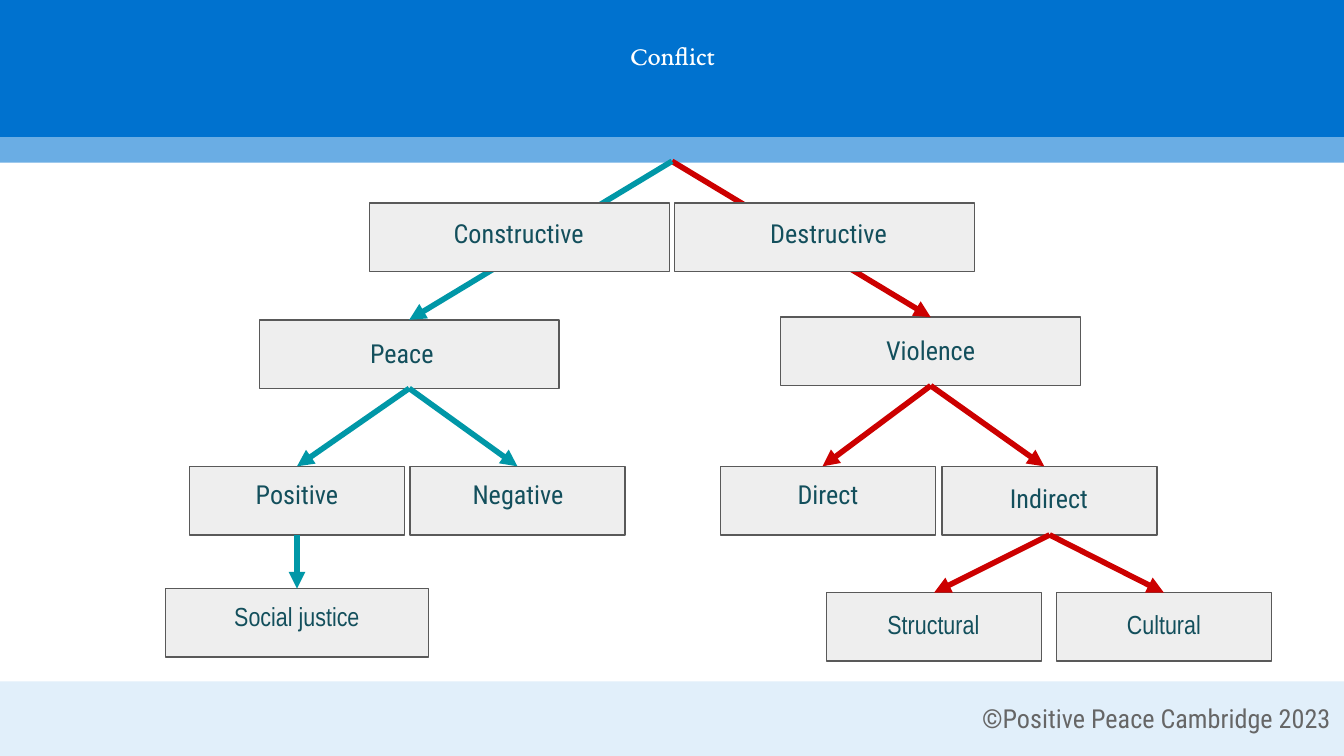
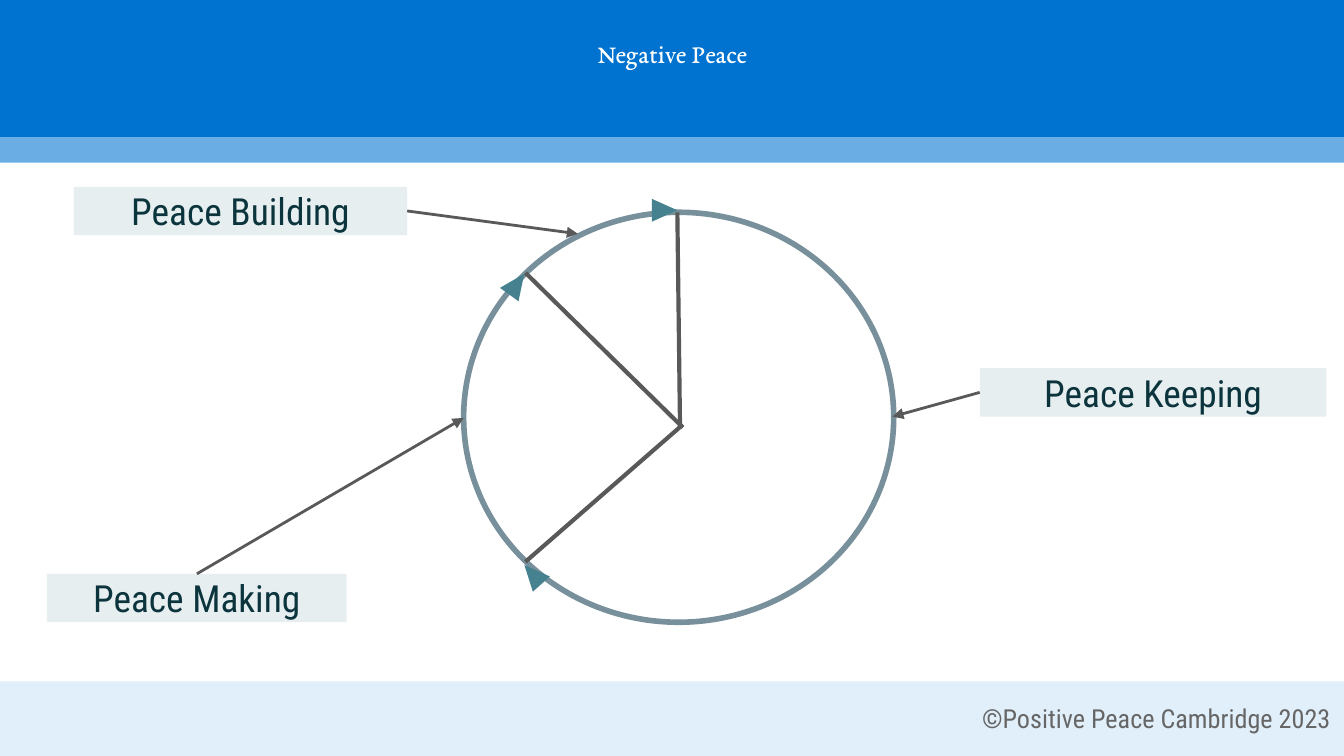
"""Build two slides on conflict and negative peace."""
from lxml.etree import SubElement
from pptx import Presentation
from pptx.dml.color import RGBColor
from pptx.enum.shapes import MSO_CONNECTOR as Connector, MSO_SHAPE as Preset
from pptx.enum.text import MSO_ANCHOR as Anchor, MSO_AUTO_SIZE as AutoSize, PP_ALIGN as Align
from pptx.oxml.ns import qn
from pptx.util import Inches, Pt

COLUMNS, ROWS = 100, 56.25
SLIDE_WIDTH, SLIDE_HEIGHT = Inches(10), Inches(5.625)
TOP, LEFT, BOTTOM, RIGHT = range(4)

COLORS = {
    "header": "0072CF", "stripe": "6AADE4", "footer": "E1EFFA", "footer text": "666666",
    "title": "FFFFFF", "box": "EEEEEE", "outline": "595959", "box text": "134F5C",
    "constructive": "0097A7", "destructive": "CC0000", "cycle": "78909C",
    "marker": "45818E", "callout": "D0E0E3", "callout text": "0C343D",
}
SERIF, SANS, NARROW = "EB Garamond", "Roboto Condensed", "Arial Narrow"


def color(name):
    return RGBColor.from_string(COLORS[name])


def write(shape, text, font=SANS, size=14, ink="box text", align=Align.CENTER,
          anchor=Anchor.TOP, inset=0.05):
    frame = shape.text_frame
    frame.word_wrap = True
    frame.vertical_anchor = anchor
    frame.margin_left = frame.margin_right = Inches(0.1)
    frame.margin_top = frame.margin_bottom = Inches(inset)
    paragraph = frame.paragraphs[0]
    paragraph.text = text
    paragraph.alignment = align
    paragraph.font.name = font
    paragraph.font.size = Pt(size)
    paragraph.font.color.rgb = color(ink)


class Deck:
    def __init__(self):
        self.presentation = Presentation()
        self.presentation.slide_width = SLIDE_WIDTH
        self.presentation.slide_height = SLIDE_HEIGHT
        self.slide = None

    def place(self, *lengths):
        """Turn alternating columns and rows into slide lengths."""
        units = (SLIDE_WIDTH / COLUMNS, SLIDE_HEIGHT / ROWS)
        return [round(length * units[index % 2]) for index, length in enumerate(lengths)]

    def new_slide(self, title, title_area):
        self.slide = self.presentation.slides.add_slide(self.presentation.slide_layouts[6])
        self.shape((0, 50.7, COLUMNS, 5.55), "footer")
        self.shape((-0.3, 0, 100.6, 10.5), "header")
        self.shape((-0.3, 10.2, 100.6, 1.9), "stripe")
        footer = self.text((64.8, 51.3, 35.2, 4.4), "©Positive Peace Cambridge 2023",
                           ink="footer text", align=Align.RIGHT, inset=0.1)
        footer.text_frame.auto_size = AutoSize.SHAPE_TO_FIT_TEXT
        self.text(title_area, title, font=SERIF, ink="title")

    def shape(self, area, fill=None, line=None, weight=0.75, preset=Preset.RECTANGLE,
              rotation=0, opacity=100):
        shape = self.slide.shapes.add_shape(preset, *self.place(*area))
        shape.shadow.inherit = False
        shape.rotation = rotation
        if fill:
            shape.fill.solid()
            shape.fill.fore_color.rgb = color(fill)
        else:
            shape.fill.background()
        if line:
            shape.line.color.rgb = color(line)
            shape.line.width = Pt(weight)
        else:
            shape.line.fill.background()
        if opacity < 100:
            tint = shape.fill._xPr.find(".//" + qn("a:srgbClr"))
            SubElement(tint, qn("a:alpha")).set("val", str(opacity * 1000))
        return shape

    def text(self, area, text, **style):
        shape = self.slide.shapes.add_textbox(*self.place(*area))
        write(shape, text, **style)
        return shape

    def callout(self, area, text):
        shape = self.shape(area, "callout", opacity=53)
        write(shape, text, size=20, ink="callout text", anchor=Anchor.MIDDLE, inset=0.1)
        return shape

    def line(self, start, end, ink, weight, arrow=None, begin=None, finish=None):
        """Draw a line; begin and finish are (shape, side) joints."""
        line = self.slide.shapes.add_connector(
            Connector.STRAIGHT, *self.place(*start, *end))
        line.line.color.rgb = color(ink)
        line.line.width = Pt(weight)
        if arrow:
            SubElement(line.line._get_or_add_ln(), qn(f"a:{arrow}End")).set("type", "triangle")
        SubElement(line._element.spPr, qn("a:effectLst"))
        if begin:
            line.begin_connect(*begin)
        if finish:
            line.end_connect(*finish)


BOX_HEIGHT = 5.1
BOXES = {
    "Cultural": (78.6, 44.1, 16),
    "Structural": (61.5, 44.1, 16),
    "Social justice": (12.3, 43.8, 19.6),
    "Violence": (58.1, 23.6, 22.3),
    "Indirect": (70.1, 34.7, 16),
    "Direct": (53.6, 34.7, 16),
    "Negative": (30.5, 34.7, 16),
    "Positive": (14.1, 34.7, 16),
    "Peace": (19.3, 23.8, 22.3),
    "Destructive": (50.2, 15.1, 22.3),
    "Constructive": (27.5, 15.1, 22.3),
}
LABELS = {
    "Constructive": (28, 15.7, 21.2, 3.7),
    "Destructive": (52.1, 15.7, 19.1, 3.6),
    "Peace": (25.4, 24.6, 9, 3.6),
    "Violence": (62.6, 24.4, 13.3, 3.6),
    "Positive": (16.4, 35.1, 11.4, 3.6),
    "Negative": (32.2, 35.1, 12.7, 4.4),
    "Direct": (57.2, 35.1, 8.8, 3.6),
    "Indirect": (72.5, 35.4, 11.1, 3.6),
    "Social justice": (12.8, 44.2, 18.6, 4.3),
    "Structural": (62.5, 44.8, 13.9, 3.7),
    "Cultural": (81.2, 44.8, 10.8, 3.7),
}
NARROW_LABELS = {"Social justice", "Structural", "Cultural"}
TRUNKS = {"Violence": "destructive", "Peace": "constructive"}
BRANCHES = [
    ("Positive", "Peace", "constructive", 0),
    ("Negative", "Peace", "constructive", 0),
    ("Social justice", "Positive", "constructive", 0),
    ("Direct", "Violence", "destructive", -0.4),
    ("Indirect", "Violence", "destructive", -0.4),
    ("Structural", "Indirect", "destructive", 0),
    ("Cultural", "Indirect", "destructive", 0),
]


def middle(name, side):
    left, top, width = BOXES[name]
    return left + width / 2, top + (BOX_HEIGHT if side == BOTTOM else 0)


def conflict_slide(deck):
    deck.new_slide("Conflict", (38.9, 2.4, 22.3, 5.1))
    boxes = {}

    def add_boxes(names):
        for name in names:
            boxes[name] = deck.shape((*BOXES[name], BOX_HEIGHT), "box", "outline")

    upper = ["Destructive", "Constructive"]
    add_boxes(name for name in BOXES if name not in upper)
    for name, ink in TRUNKS.items():
        deck.line(middle(name, TOP), (50, 12), ink, 3, "head", begin=(boxes[name], TOP))
    add_boxes(upper)
    for name, area in LABELS.items():
        deck.text(area, name, font=NARROW if name in NARROW_LABELS else SANS)
    for child, parent, ink, shift in BRANCHES:
        across, down = middle(child, TOP)
        deck.line((across + shift, down), middle(parent, BOTTOM), ink, 3, "head",
                  begin=None if shift else (boxes[child], TOP),
                  finish=(boxes[parent], BOTTOM))


SPOKES = [((50.8, 31.6), (39.1, 41.8)), ((50.6, 31.9), (50.4, 15.8)),
          ((50.8, 31.8), (39.1, 20.3))]
MARKERS = [(38.8, 41.8, 318.3), (37.6, 20.2, 35.9), (48.6, 14.7, 90)]
CALLOUTS = [
    ("Peace Keeping", (72.9, 27.4, 25.8, 3.6), LEFT, (72.9, 29.2), (66.4, 31)),
    ("Peace Making", (3.5, 42.7, 22.3, 3.6), TOP, (14.7, 42.7), (34.5, 31.1)),
    ("Peace Building", (5.5, 13.9, 24.8, 3.6), RIGHT, (30.3, 15.7), (43, 17.4)),
]


def negative_peace_slide(deck):
    deck.new_slide("Negative Peace", (30.2, 2.3, 39.7, 6.7))
    deck.shape((34.5, 15.8, 32, 30.5), line="cycle", weight=3, preset=Preset.OVAL)
    for hub, rim in SPOKES:
        deck.line(hub, rim, "outline", 2.25)
    for left, top, rotation in MARKERS:
        deck.shape((left, top, 1.7, 1.9), "marker", preset=Preset.ISOSCELES_TRIANGLE,
                   rotation=rotation)
    callouts = [deck.callout(area, text) for text, area, *_ in CALLOUTS]
    for callout, (_, _, side, start, end) in zip(callouts, CALLOUTS):
        deck.line(start, end, "outline", 1.5, "tail", begin=(callout, side))


def main():
    deck = Deck()
    conflict_slide(deck)
    negative_peace_slide(deck)
    deck.presentation.save("out.pptx")


if __name__ == "__main__":
    main()
